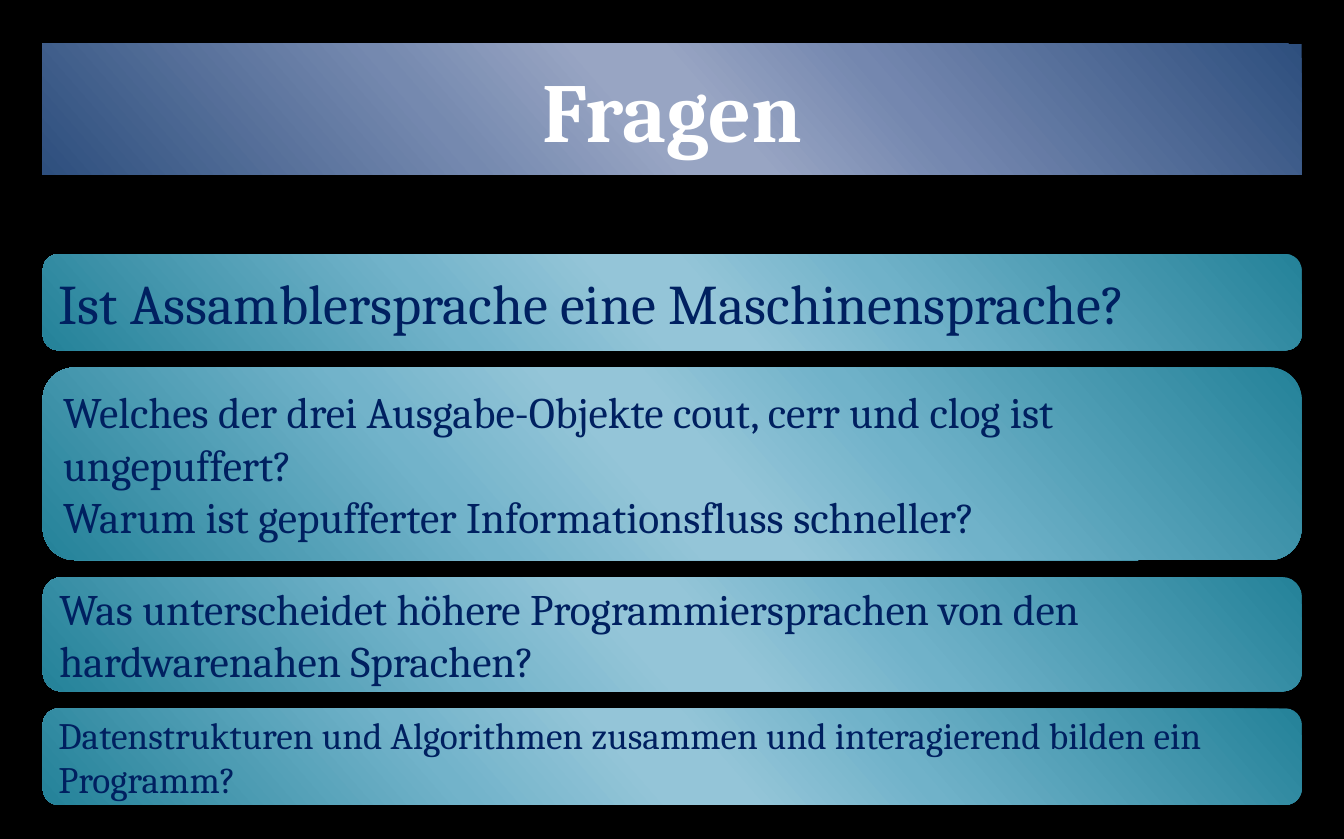
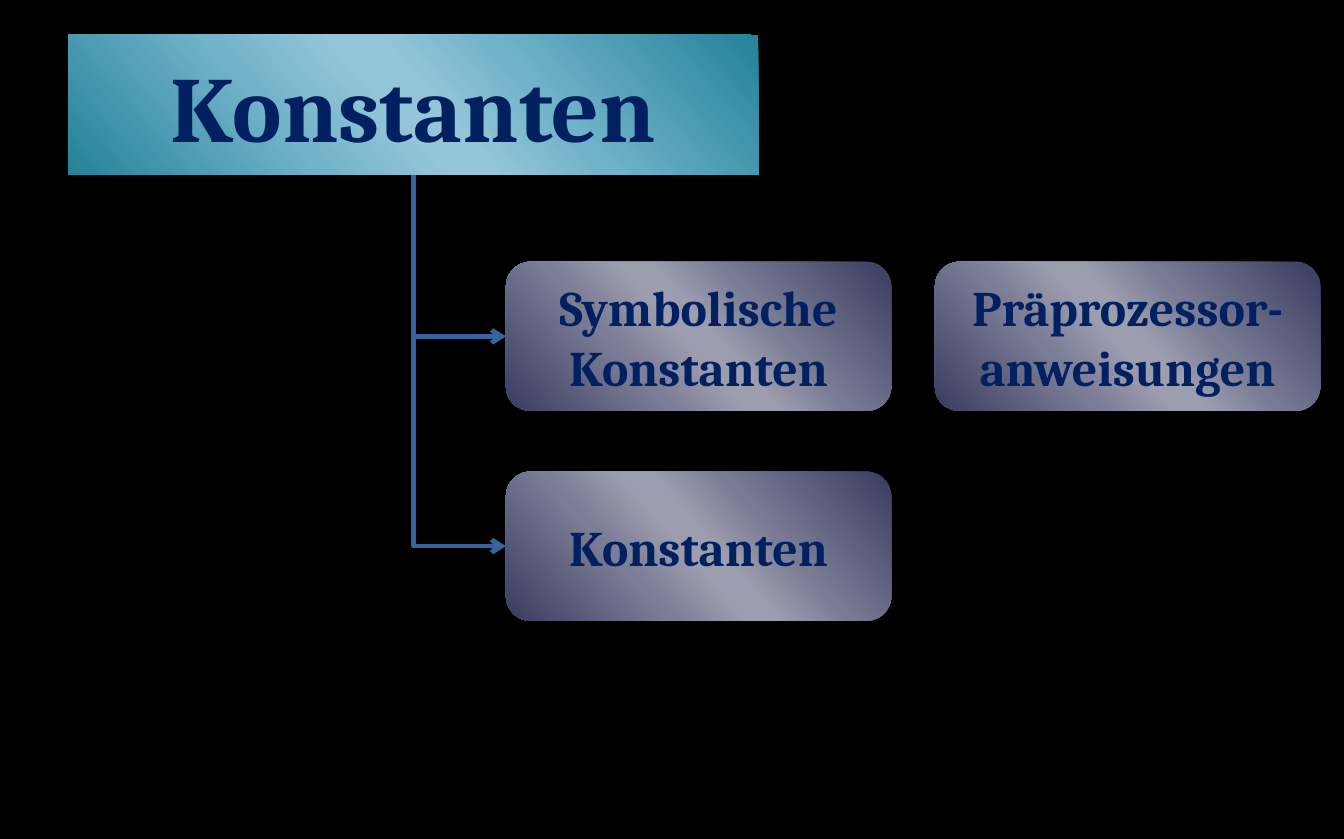
import pptx
import pptx.util
import pptx.dml.color
import pptx.enum.shapes
import pptx.enum.text
import pptx.oxml
import pptx.oxml.ns
from lxml import etree

Pt = pptx.util.Pt
RGB = pptx.dml.color.RGBColor
qn = pptx.oxml.ns.qn
ALIGN = pptx.enum.text.PP_ALIGN

# Content: questions with their text size and box height
QUESTIONS_TITLE = "Fragen"
QUESTIONS = [
    (["Ist Assamblersprache eine Maschinensprache?"], 36, 62),
    (["Welches der drei Ausgabe-Objekte cout, cerr und clog ist ungepuffert?",
      "Warum ist gepufferter Informationsfluss schneller?"], 28, 124),
    (["Was unterscheidet höhere Programmiersprachen von den "
      "hardwarenahen Sprachen?"], 28, 73.5),
    (["Datenstrukturen und Algorithmen zusammen und interagierend "
      "bilden ein Programm?"], 24, 62),
]
CONSTANTS_TITLE = "Konstanten"
# Each row: the kind of constant, then what belongs to it
CONSTANT_ROWS = [
    ["Symbolische Konstanten", "Präprozessor-anweisungen"],
    ["Konstanten"],
]

# Shared look
FONT = "Cambria"
BLACK = RGB(0x00, 0x00, 0x00)
WHITE = RGB(0xFF, 0xFF, 0xFF)
NAVY = RGB(0x00, 0x20, 0x60)
LINE_BLUE = RGB(0x39, 0x63, 0x9D)
STOPS = (0, 33, 47, 53, 68, 100)
GRADIENT_ANGLE = 139


def sheen(edge, left, centre, right):
    """Return the stop colours of a gradient that is bright in the middle."""
    return edge, left, centre, centre, right, edge


BLUE = sheen(RGB(0x2E, 0x4F, 0x7E), RGB(0x74, 0x87, 0xAF),
             RGB(0x98, 0xA5, 0xC3), RGB(0x75, 0x89, 0xAF))
TEAL = sheen(RGB(0x24, 0x82, 0x99), RGB(0x70, 0xB2, 0xC9),
             RGB(0x94, 0xC5, 0xD8), RGB(0x72, 0xB3, 0xCA))
VIOLET = sheen(RGB(0x39, 0x3C, 0x60), RGB(0x79, 0x7B, 0x94),
               RGB(0x9C, 0x9D, 0xAF), RGB(0x7B, 0x7C, 0x95))


def fill_gradient(shape, colours):
    """Fill a shape with the shared diagonal gradient."""
    shape.fill.gradient()
    shape.fill.gradient_angle = 360 - GRADIENT_ANGLE
    stop_list = shape.element.spPr.find(qn("a:gradFill")).find(qn("a:gsLst"))
    for stop in list(stop_list):
        stop_list.remove(stop)
    for position, colour in zip(STOPS, colours):
        stop = etree.SubElement(stop_list, qn("a:gs"), pos=str(position * 1000))
        etree.SubElement(stop, qn("a:srgbClr"), val=str(colour))


def style_panel(shape, paragraphs, size, colours, text_colour=NAVY,
                align=ALIGN.CENTER, bold=True):
    """Give a shape its gradient and its text."""
    fill_gradient(shape, colours)
    shape.line.fill.background()
    shape.shadow.inherit = False
    frame = shape.text_frame
    frame.word_wrap = True
    frame.auto_size = pptx.enum.text.MSO_AUTO_SIZE.NONE
    frame.vertical_anchor = pptx.enum.text.MSO_ANCHOR.MIDDLE
    for index, text in enumerate(paragraphs):
        paragraph = frame.add_paragraph() if index else frame.paragraphs[0]
        paragraph.alignment = align
        run = paragraph.add_run()
        run.text = text
        run.font.name = FONT
        run.font.size = Pt(size)
        run.font.bold = bold
        run.font.color.rgb = text_colour


def add_panel(slide, bounds, paragraphs, size, colours, **text_style):
    """Add a rounded panel with text; bounds are left, top, width, height."""
    panel = slide.shapes.add_shape(
        pptx.enum.shapes.MSO_SHAPE.ROUNDED_RECTANGLE, *map(Pt, bounds))
    style_panel(panel, paragraphs, size, colours, **text_style)
    return panel


def add_titled_slide(prs, bounds, title, size, colours, text_colour):
    """Add a slide whose title placeholder is a rounded panel."""
    slide = prs.slides.add_slide(prs.slide_layouts[5])
    heading = slide.shapes.title
    heading.left, heading.top, heading.width, heading.height = map(Pt, bounds)
    outline = etree.Element(qn("a:prstGeom"), prst="roundRect")
    etree.SubElement(outline, qn("a:avLst"))
    heading.element.spPr.insert(1, outline)
    style_panel(heading, [title], size, colours, text_colour)
    return slide


def add_branch(slide, parent, child):
    """Draw an arrow from below the parent, down and right to the child."""
    x0, y0 = parent.left + parent.width // 2, parent.top + parent.height
    x1, y1 = child.left, child.top + child.height // 2
    branch = slide.shapes.add_connector(
        pptx.enum.shapes.MSO_CONNECTOR.ELBOW, x0, y0, x1, y1)
    branch.begin_connect(parent, 2)
    branch.end_connect(child, 1)
    branch.line.color.rgb = LINE_BLUE
    branch.line.width = Pt(3)

    # A single bend is a two-part elbow, mirrored and turned by 270 degrees
    run, drop = x1 - x0, y1 - y0
    branch.left, branch.top = (x0 + x1 - drop) // 2, (y0 + y1 - run) // 2
    branch.width, branch.height = drop, run
    properties = branch.element.spPr
    properties.find(qn("a:prstGeom")).set("prst", "bentConnector2")
    frame = properties.find(qn("a:xfrm"))
    frame.set("rot", str(270 * 60000))
    frame.set("flipH", "1")
    etree.SubElement(properties.find(qn("a:ln")), qn("a:tailEnd"), type="arrow")
    etree.SubElement(properties, qn("a:effectLst"))


def build_questions(prs):
    """Build the slide with the stacked questions."""
    left, width, top, gap = 27.5, 810, 163.5, 11
    slide = add_titled_slide(prs, (left, 28, width, 84.5), QUESTIONS_TITLE,
                             54, BLUE, WHITE)
    for paragraphs, size, height in QUESTIONS:
        add_panel(slide, (left, top, width, height), paragraphs, size, TEAL,
                  align=ALIGN.LEFT, bold=False)
        top += height + gap


def build_constants(prs):
    """Build the slide with the tree of constants."""
    left, top, width, height = 325.5, 168.5, 248, 96
    column_step, row_step = 276, 135
    slide = add_titled_slide(prs, (44, 22.5, 444, 90), CONSTANTS_TITLE,
                             60, TEAL, NAVY)
    for row, labels in enumerate(CONSTANT_ROWS):
        panels = [
            add_panel(slide, (left + column * column_step, top + row * row_step,
                              width, height), [label], 32, VIOLET)
            for column, label in enumerate(labels)]
        add_branch(slide, slide.shapes.title, panels[0])


def main():
    """Build and save the presentation."""
    prs = pptx.Presentation()
    prs.slide_width, prs.slide_height = Pt(864.72), Pt(540)
    backdrop = prs.slide_master.background.fill
    backdrop.solid()
    backdrop.fore_color.rgb = BLACK
    build_questions(prs)
    build_constants(prs)
    prs.save("out.pptx")


main()
